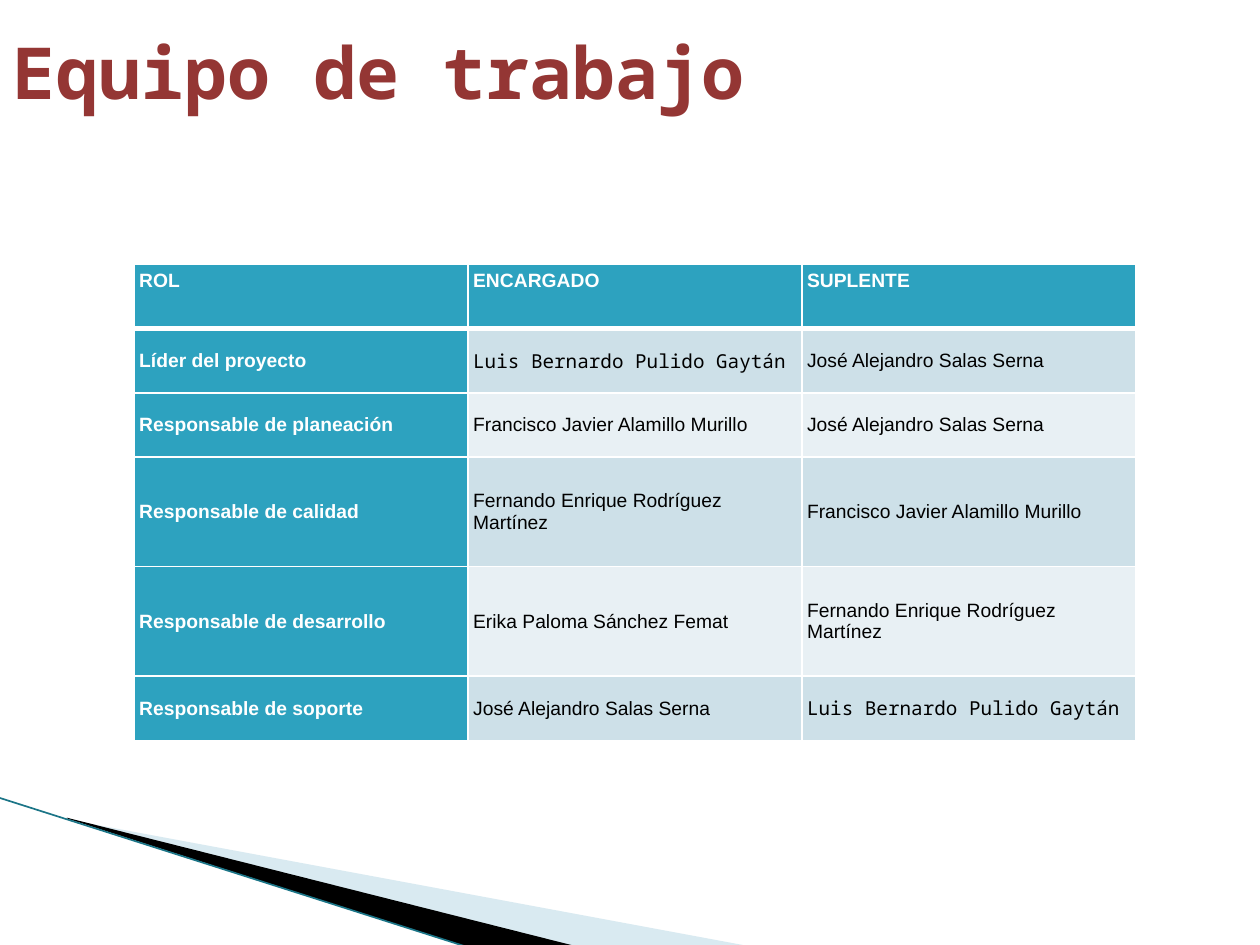
from lxml import etree
from pptx import Presentation
from pptx import util as u
from pptx.dml import color
from pptx.enum import shapes, text
from pptx.oxml import ns

SANS, MONO = "Arial", "Noto Sans Mono"
TEAL, WHITE, BLACK = "2DA2BF", "FFFFFF", "000000"
BANDS = ["CDE0E8", "E8F0F4"]


def rgb(code):
    return color.RGBColor.from_string(code)


def sub(node, tag, **attrs):
    return etree.SubElement(node, ns.qn(tag), attrs)


class Deck:
    def __init__(self, wide, high):
        self.prs = Presentation()
        self.prs.slide_width, self.prs.slide_height = u.Pt(wide), u.Pt(high)
        self.slide = self.prs.slides.add_slide(self.prs.slide_layouts[5])

    def style(self, para, face, size, code, bold=False):
        font = para.font
        font.name, font.size, font.bold = face, u.Pt(size), bold
        font.color.rgb = rgb(code)
        para.alignment = text.PP_ALIGN.LEFT

    def title(self, words, left, top, wide, high):
        box = self.slide.shapes.title
        box.left, box.top = u.Pt(left), u.Pt(top)
        box.width, box.height = u.Pt(wide), u.Pt(high)
        frame = box.text_frame
        frame.text = words
        frame.vertical_anchor = text.MSO_ANCHOR.MIDDLE
        self.style(frame.paragraphs[0], MONO, 41, "943634", True)

    def wedge(self, points, code, alpha=100):
        spots = [(u.Pt(x), u.Pt(y)) for x, y in points]
        pen = self.slide.shapes.build_freeform(*spots[0])
        pen.add_line_segments(spots[1:])
        shape = pen.convert_to_shape()
        shape.shadow.inherit = False
        shape.line.fill.background()
        shape.fill.solid()
        shape.fill.fore_color.rgb = rgb(code)
        if alpha < 100:
            tint = shape.fill._xPr.find(".//" + ns.qn("a:srgbClr"))
            sub(tint, "a:alpha", val=str(alpha * 1000))

    def line(self, x1, y1, x2, y2, code, width):
        rule = self.slide.shapes.add_connector(
            shapes.MSO_CONNECTOR.STRAIGHT, u.Pt(x1), u.Pt(y1), u.Pt(x2), u.Pt(y2))
        rule.line.color.rgb = rgb(code)
        rule.line.width = u.Pt(width)
        sub(rule._element.spPr, "a:effectLst")

    def border(self, cell, row):
        props = cell._tc.get_or_add_tcPr()
        for side in "LRTB":
            thick = (side, row) in (("B", 0), ("T", 1))
            edge = sub(props, "a:ln" + side, w=str(u.Pt(3 if thick else 1)))
            sub(sub(edge, "a:solidFill"), "a:srgbClr", val=WHITE)

    def table(self, rows, left, top, wide, highs):
        cols = len(rows[0])
        grid = self.slide.shapes.add_table(
            len(rows), cols, u.Pt(left), u.Pt(top),
            u.Pt(wide * cols), u.Pt(sum(highs))).table
        for col in grid.columns:
            col.width = u.Pt(wide)
        for r, row in enumerate(rows):
            grid.rows[r].height = u.Pt(highs[r])
            for c, words in enumerate(row):
                cell = grid.cell(r, c)
                cell.text = words
                cell.margin_left = cell.margin_right = u.Pt(3)
                cell.margin_top = cell.margin_bottom = u.Pt(3)
                if r:
                    cell.vertical_anchor = text.MSO_ANCHOR.MIDDLE
                self.border(cell, r)
                head = r == 0 or c == 0
                cell.fill.solid()
                cell.fill.fore_color.rgb = rgb(TEAL if head else BANDS[(r - 1) % 2])
                self.style(cell.text_frame.paragraphs[0],
                           MONO if words == LUIS else SANS, 11,
                           WHITE if head else BLACK, head)


deck = Deck(720, 540)

# Corner wedges and edge line
deck.wedge([(39.6, 468.5), (428.4, 540.7), (328.3, 540.7), (39.6, 468)], "A0CBDC", 40)
deck.wedge([(38.2, 467.3), (329, 540.7), (267.8, 541.4), (38.9, 468)], BLACK)
deck.line(-0.7, 455.8, 267.8, 541.4, "1B7587", 0.95)

# Title
deck.title("Equipo de trabajo", 0, 9.4, 720, 62)

# Team table
LUIS = "Luis Bernardo Pulido Gaytán"
JOSE = "José Alejandro Salas Serna"
FRAN = "Francisco Javier Alamillo Murillo"
FER = "Fernando Enrique Rodríguez Martínez"
team = [
    ("ROL", "ENCARGADO", "SUPLENTE"),
    ("Líder del proyecto", LUIS, JOSE),
    ("Responsable de planeación", FRAN, JOSE),
    ("Responsable de calidad", FER, FRAN),
    ("Responsable de desarrollo", "Erika Paloma Sánchez Femat", FER),
    ("Responsable de soporte", JOSE, LUIS),
]
low, tall = 36.7, 62.6
deck.table(team, 76.6, 151.2, 190.8, [low, low, low, tall, tall, low])

deck.prs.save("out.pptx")
